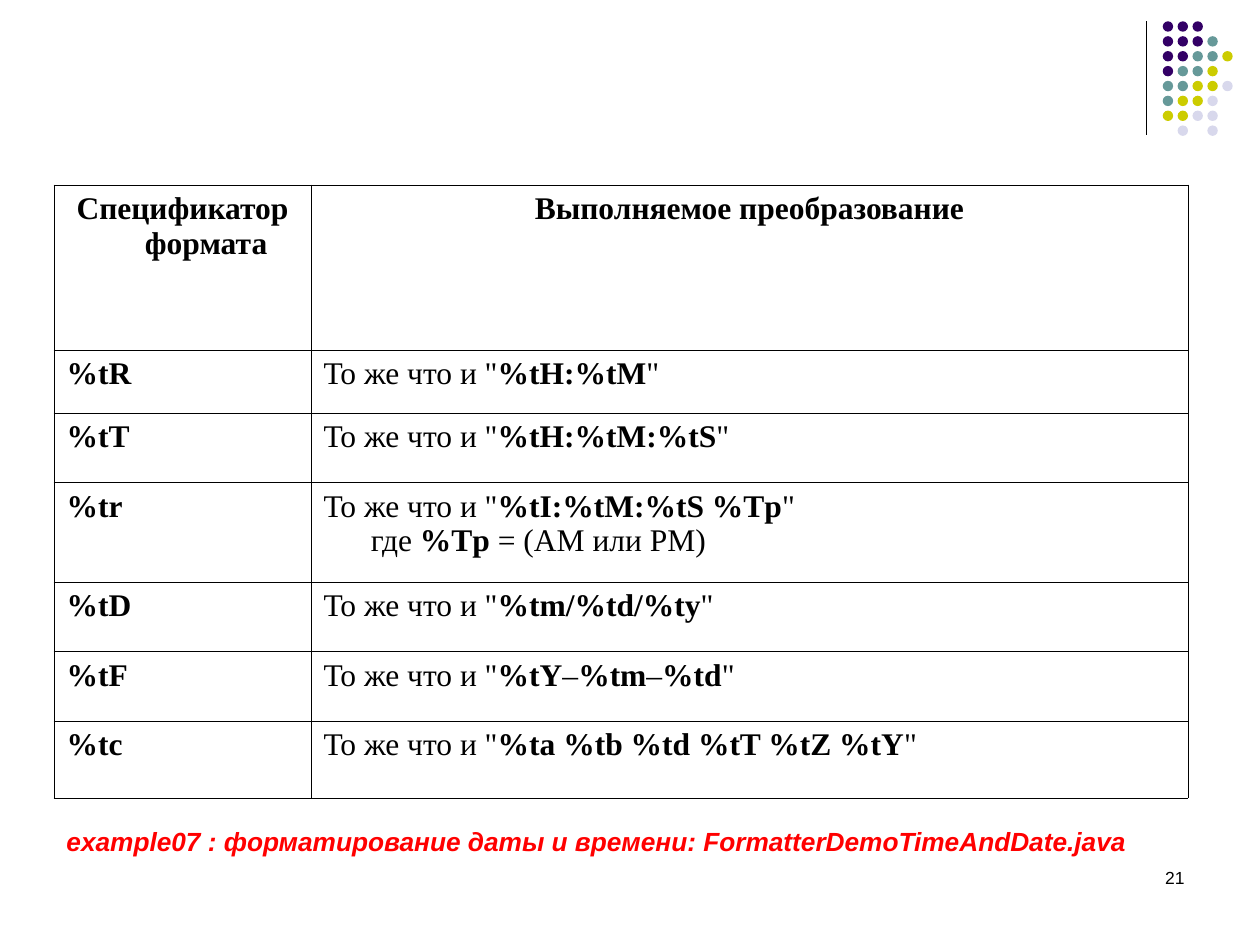
from typing import NamedTuple

from lxml.etree import SubElement
from pptx import Presentation
from pptx.dml.color import RGBColor
from pptx.enum.shapes import MSO_CONNECTOR, MSO_SHAPE
from pptx.enum.text import PP_ALIGN
from pptx.oxml.ns import qn
from pptx.util import Cm, Pt

COLORS = {
    "ink": "000000", "note": "FF0000",
    "P": "330066", "T": "669999", "Y": "CCCC00", "L": "D8D8EC",
}
# One letter per dot, a space for a gap
DOTS = ["PPP", "PPPT", "PPTTY", "PTTY", "TTYYL", "TYYL", "YYLL", " L L"]


class Row(NamedTuple):
    height: float
    code: str
    text: str  # stars switch bold on and off, \n breaks the line


class Label(NamedTuple):
    left: float
    top: float
    width: float
    height: float
    text: str
    size: float
    color: str
    strong: bool = False
    align: PP_ALIGN = PP_ALIGN.LEFT


ROWS = [
    Row(3.33, "*Cпецификатор формата*", "*Выполняемое преобразование*"),
    Row(1.27, "*%tR*", 'То же что и "*%tH:%tM*"'),
    Row(1.4, "*%tT*", 'То же что и "*%tH:%tM:%tS*"'),
    Row(2.01, "*%tr*",
        'То же что и "*%tI:%tM:%tS %Tp*" \nгде *%Tp *= (AM или PM)'),
    Row(1.4, "*%tD*", 'То же что и "*%tm/%td/%ty*"'),
    Row(1.4, "*%tF*", 'То же что и "*%tY*–*%tm*–*%td*"'),
    Row(1.55, "*%tc*", 'То же что и "*%ta %tb %td %tT %tZ %tY*"'),
]
LABELS = [
    Label(18.21, 17.35, 5.92, 1.27, "21", 10, "ink", align=PP_ALIGN.RIGHT),
    Label(1.09, 16.51, 22, 0.89,
          "example07 : форматирование даты и времени: "
          "FormatterDemoTimeAndDate.java", 15, "note", True),
]


def rgb(name: str) -> RGBColor:
    return RGBColor.from_string(COLORS[name])


def style(para, face: str, size: float, color: str) -> None:
    para.font.name = face
    para.font.size = Pt(size)
    para.font.color.rgb = rgb(color)


def draw_dots(shapes, left: float, top: float) -> None:
    step, size = 0.3, 0.21
    for r, line in enumerate(DOTS):
        for c, key in enumerate(line):
            if key == " ":
                continue
            dot = shapes.add_shape(MSO_SHAPE.OVAL, Cm(left + c * step),
                                   Cm(top + r * step), Cm(size), Cm(size))
            dot.shadow.inherit = False
            dot.fill.solid()
            dot.fill.fore_color.rgb = rgb(key)
            dot.line.fill.background()


def draw_rule(shapes, x: float, top: float, end: float) -> None:
    rule = shapes.add_connector(MSO_CONNECTOR.STRAIGHT,
                                Cm(x), Cm(top), Cm(x), Cm(end))
    rule.line.color.rgb = rgb("ink")
    rule.line.width = Pt(0.75)
    SubElement(rule._element.spPr, qn("a:effectLst"))


def draw_label(shapes, item: Label) -> None:
    box = shapes.add_textbox(Cm(item.left), Cm(item.top),
                             Cm(item.width), Cm(item.height))
    box.text_frame.word_wrap = True
    para = box.text_frame.paragraphs[0]
    para.text = item.text
    para.alignment = item.align
    style(para, "Arial", item.size, item.color)
    para.font.bold = para.font.italic = item.strong


def add_edges(cell) -> None:
    props = cell._tc.get_or_add_tcPr()
    for side in ("lnL", "lnR", "lnT", "lnB"):
        edge = SubElement(props, qn(f"a:{side}"), w=str(Pt(0.45)))
        fill = SubElement(edge, qn("a:solidFill"))
        SubElement(fill, qn("a:srgbClr"), val=COLORS["ink"])


def fill_cell(cell, text: str, align: PP_ALIGN) -> None:
    add_edges(cell)
    cell.fill.background()
    para = cell.text_frame.paragraphs[0]
    para.alignment = align
    style(para, "Times New Roman", 18, "ink")
    # Hanging indent
    props = para._p.get_or_add_pPr()
    props.set("marL", str(Cm(0.95)))
    props.set("indent", str(-Cm(0.95)))
    for i, part in enumerate(text.split("*")):
        for j, piece in enumerate(part.split("\n")):
            if j:
                para.add_line_break()
            if piece:
                run = para.add_run()
                run.text = piece
                run.font.bold = i % 2 == 1


def draw_table(shapes, left: float, top: float) -> None:
    widths = (5.18, 17.68)
    high = sum(row.height for row in ROWS)
    table = shapes.add_table(len(ROWS), len(widths), Cm(left), Cm(top),
                             Cm(sum(widths)), Cm(high)).table
    table.first_row = table.horz_banding = False
    for col, width in zip(table.columns, widths):
        col.width = Cm(width)
    for r, row in enumerate(ROWS):
        table.rows[r].height = Cm(row.height)
        align = PP_ALIGN.LEFT if r else PP_ALIGN.CENTER
        for c, text in enumerate((row.code, row.text)):
            fill_cell(table.cell(r, c), text, align)


def main() -> None:
    deck = Presentation()
    deck.slide_width, deck.slide_height = Cm(25.4), Cm(19.05)
    # The slide has no title, so it takes the blank layout
    shapes = deck.slides.add_slide(deck.slide_layouts[6]).shapes

    # Corner ornament
    draw_rule(shapes, 23.11, 0.43, 2.72)
    draw_dots(shapes, 23.44, 0.43)

    # Format table
    draw_table(shapes, 1.09, 3.73)

    # Page number and example note
    for item in LABELS:
        draw_label(shapes, item)
    deck.save("out.pptx")


if __name__ == "__main__":
    main()
